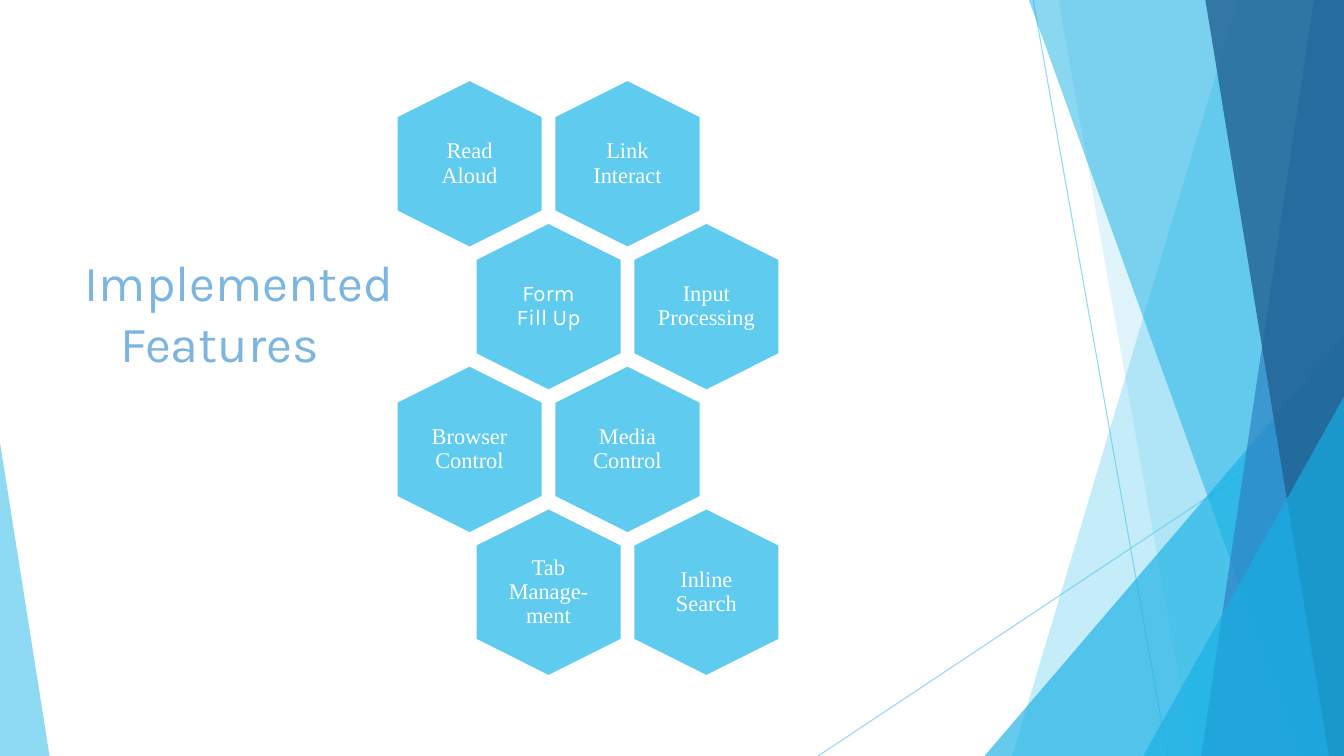
from dataclasses import dataclass

from lxml import etree
from pptx import Presentation
from pptx import util as u
from pptx.dml.color import RGBColor
from pptx.enum import shapes, text
from pptx.oxml.ns import qn

COLUMNS, ROWS = 160, 90  # square grid, twelve units to the inch


@dataclass(frozen=True)
class Theme:
    sky: str = "5FCBEF"
    cyan: str = "17B0E4"
    blue: str = "2E83C3"
    navy: str = "226292"
    title: str = "7CB5E0"
    white: str = "FFFFFF"
    serif: str = "Times New Roman"
    sans: str = "Karla"
    title_size: int = 36
    label_size: int = 16
    outline: float = 1.5
    hairline: float = 0.75


THEME = Theme()


def grid(units):
    return u.Inches(units / 12)


def place(box):
    return [grid(units) for units in box]


def paint(color_format, color, opacity=100):
    """Set a colour and, below 100 percent, its opacity."""
    color_format.rgb = RGBColor.from_string(color)
    if opacity < 100:
        for element in color_format._xFill.iter(qn("a:srgbClr")):
            etree.SubElement(element, qn("a:alpha")).set("val", str(opacity * 1000))


def fill_shape(shape, color, opacity=100):
    shape.shadow.inherit = False
    shape.fill.solid()
    paint(shape.fill.fore_color, color, opacity)
    shape.line.fill.background()


def style(para, font, size, color):
    para.font.name = font
    para.font.size = u.Pt(size)
    para.font.color.rgb = RGBColor.from_string(color)


def add_ray(page, start, end):
    ray = page.shapes.add_connector(shapes.MSO_CONNECTOR.STRAIGHT, *place(start + end))
    ray.line.width = u.Pt(THEME.hairline)
    ray.line.fill.solid()
    paint(ray.line.fill.fore_color, THEME.sky, 70)
    etree.SubElement(ray._element.spPr, qn("a:effectLst"))


def add_facet(page, top_x, bottom_x, color, opacity):
    """Full-height panel from a slanted left edge to the right slide edge."""
    corners = [(top_x, 0), (COLUMNS, 0), (COLUMNS, ROWS), (bottom_x, ROWS)]
    points = [place(corner) for corner in corners]
    builder = page.shapes.build_freeform(*points[0])
    builder.add_line_segments(points[1:], close=True)
    fill_shape(builder.convert_to_shape(), color, opacity)


def add_corner(page, left, top, width, apex, color, opacity):
    """Right triangle standing on the bottom edge."""
    corner = page.shapes.add_shape(
        shapes.MSO_SHAPE.ISOSCELES_TRIANGLE, *place((left, top, width, ROWS - top)))
    corner.adjustments[0] = apex
    fill_shape(corner, color, opacity)


def add_backdrop(page):
    # Thin crossing rays
    add_ray(page, (123, 0), (139, ROWS))
    add_ray(page, (COLUMNS, 48.4), (97.4, ROWS))
    # Overlapping panels on the right
    add_facet(page, 147.4, 120.5, THEME.sky, 36)
    add_facet(page, 126, 142, THEME.sky, 20)
    add_corner(page, 117.2, 40, COLUMNS - 117.2, 1, THEME.cyan, 66)
    add_facet(page, 122.5, 154.9, THEME.cyan, 50)
    add_facet(page, 156.4, 143, THEME.blue, 70)
    add_facet(page, 143.5, 158.2, THEME.navy, 80)
    add_corner(page, 136.1, 47.2, COLUMNS - 136.1, 1, THEME.cyan, 66)
    # Sliver on the left
    add_corner(page, 0, 52.7, 5.9, 0, THEME.sky, 70)


def add_title(page, box, lines):
    title = page.shapes.title
    title.left, title.top, title.width, title.height = place(box)
    frame = title.text_frame
    frame.word_wrap = True
    frame.auto_size = text.MSO_AUTO_SIZE.NONE
    frame.vertical_anchor = text.MSO_ANCHOR.TOP
    frame.text = "\n".join(lines)
    for indent, para in zip((0, 4.2), frame.paragraphs):
        para._p.get_or_add_pPr().set("marL", str(grid(indent)))
        para.alignment = text.PP_ALIGN.LEFT
        style(para, THEME.sans, THEME.title_size, THEME.title)


def add_hexagon(page, center_x, center_y, label, font, inset):
    # Pointed-top cell: a flat hexagon turned by a quarter
    length, breadth = 20, 17.4
    cell = page.shapes.add_shape(
        shapes.MSO_SHAPE.HEXAGON,
        *place((center_x - length / 2, center_y - breadth / 2, length, breadth)))
    cell.rotation = 90
    cell.adjustments[0] = 0.25
    fill_shape(cell, THEME.sky)
    cell.line.color.rgb = RGBColor.from_string(THEME.white)
    cell.line.width = u.Pt(THEME.outline)

    # Upright label
    width, height = 12, 13.8
    box = page.shapes.add_textbox(
        *place((center_x - width / 2, center_y - height / 2, width, height)))
    frame = box.text_frame
    frame.word_wrap = True
    frame.vertical_anchor = text.MSO_ANCHOR.MIDDLE
    frame.margin_left = frame.margin_right = grid(inset)
    frame.margin_top = frame.margin_bottom = grid(inset)
    para = frame.paragraphs[0]
    para.text = label
    para.alignment = text.PP_ALIGN.CENTER
    para.line_spacing = 0.9
    style(para, font, THEME.label_size, THEME.white)


def add_honeycomb(page, first_center, rows):
    """Staggered rows of cells: every second row moves half a pitch right."""
    pitch_x, pitch_y = 18.8, 17
    left, top = first_center
    for row, labels in enumerate(rows):
        for column, label in enumerate(labels):
            shift = column + (row % 2) / 2
            font = THEME.sans if label == "Form Fill Up" else THEME.serif
            inset = 0.8 * ((row + column) % 2)
            add_hexagon(page, left + shift * pitch_x, top + row * pitch_y,
                        label, font, inset)


def main():
    deck = Presentation()
    deck.slide_width, deck.slide_height = place((COLUMNS, ROWS))
    page = deck.slides.add_slide(deck.slide_layouts[5])  # title only
    add_backdrop(page)
    add_honeycomb(page, (55.9, 19.5), [
        ("Read Aloud", "Link Interact"),
        ("Form Fill Up", "Input Processing"),
        ("Browser Control", "Media Control"),
        ("Tab Manage-ment", "Inline Search"),
    ])
    add_title(page, (8.9, 29.3, 46, 15.7), ("Implemented", "Features"))
    deck.save("out.pptx")


if __name__ == "__main__":
    main()
